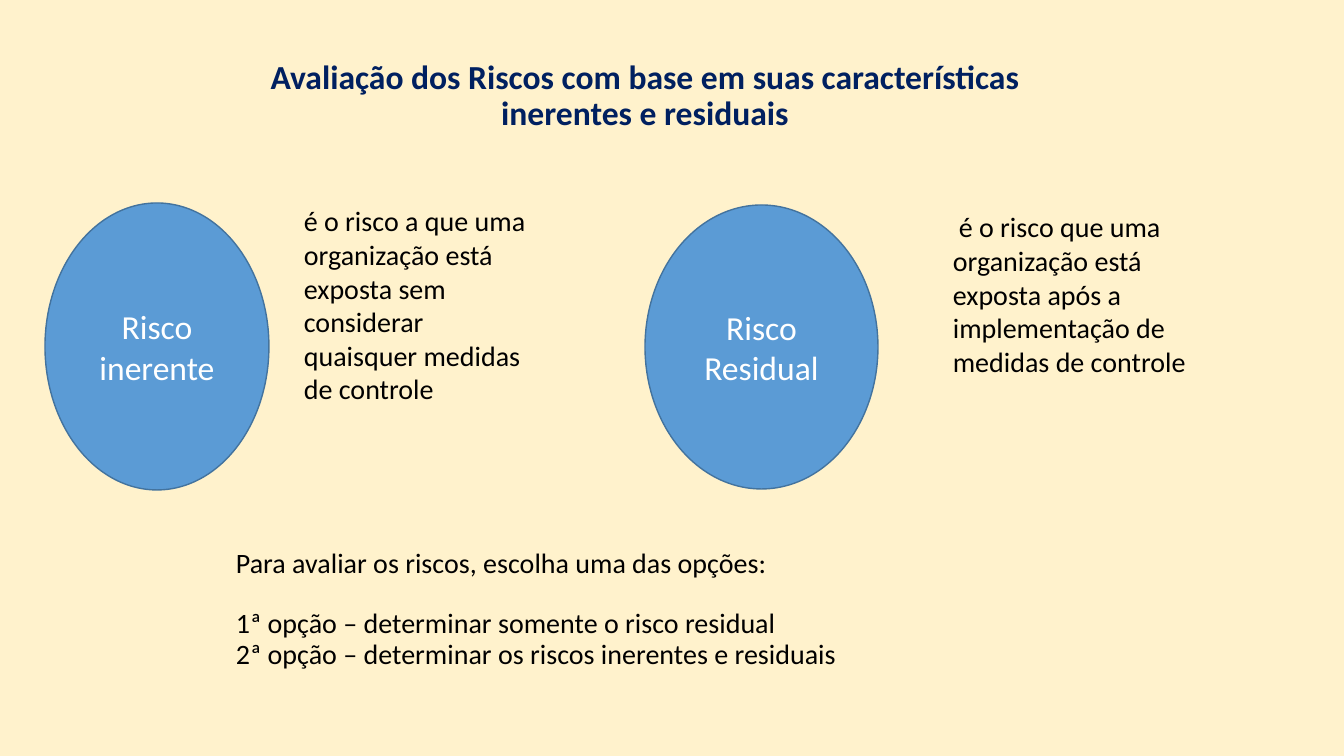
from pptx import Presentation
from pptx.dml.color import RGBColor
from pptx.enum.shapes import MSO_SHAPE as Shape
from pptx.enum.text import MSO_ANCHOR as Anchor, PP_ALIGN as Align
from pptx.util import Pt

PX = 914400 / 100.8
FONT = "Calibri"
COLORS = {
    "background": "FFF2CC",
    "title": "002060",
    "body": "000000",
    "ellipse": "5B9BD5",
    "outline": "43739E",
    "term": "FFFFFF",
}


def color(name):
    return RGBColor.from_string(COLORS[name])


def emu(*lengths):
    return [round(length * PX) for length in lengths]


def add_run(paragraph, text, size, color_name, bold=False):
    run = paragraph.add_run()
    run.text = text
    run.font.name = FONT
    run.font.size = Pt(size)
    run.font.bold = bold
    run.font.color.rgb = color(color_name)


def add_title(slide, box, lines):
    title = slide.shapes.title
    title.left, title.top, title.width, title.height = emu(*box)
    frame = title.text_frame
    frame.word_wrap = True
    frame.vertical_anchor = Anchor.BOTTOM
    paragraph = frame.paragraphs[0]
    paragraph.alignment = Align.CENTER
    paragraph.line_spacing = 0.9
    for index, line in enumerate(lines):
        if index:
            paragraph.add_line_break()
        add_run(paragraph, line, 24, "title", bold=True)


def add_risk(slide, box, term, definition, definition_box, first_indent=0):
    left, top, width, height = box
    ellipse = slide.shapes.add_shape(Shape.OVAL, *emu(left, top, width, height))
    ellipse.shadow.inherit = False
    ellipse.fill.solid()
    ellipse.fill.fore_color.rgb = color("ellipse")
    ellipse.line.color.rgb = color("outline")
    ellipse.line.width = Pt(1)
    term_frame = ellipse.text_frame
    term_frame.word_wrap = True
    term_frame.vertical_anchor = Anchor.MIDDLE
    term_frame.paragraphs[0].alignment = Align.CENTER
    add_run(term_frame.paragraphs[0], term, 24, "term")

    dx, dy, text_width, text_height = definition_box
    text = slide.shapes.add_textbox(*emu(left + dx, top + dy, text_width, text_height))
    text.text_frame.word_wrap = True
    paragraph = text.text_frame.paragraphs[0]
    if first_indent:
        paragraph._p.get_or_add_pPr().set("indent", str(round(first_indent * PX)))
    add_run(paragraph, definition, 20, "body")


def add_options(slide, box, lines):
    frame = slide.shapes.add_textbox(*emu(*box)).text_frame
    frame.word_wrap = True
    for index, (line, space_before) in enumerate(lines):
        paragraph = frame.add_paragraph() if index else frame.paragraphs[0]
        paragraph.line_spacing = 0.7
        paragraph.space_before = Pt(space_before)
        add_run(paragraph, line, 20, "body")


def main():
    deck = Presentation()
    deck.slide_width, deck.slide_height = emu(1344, 756)
    slide = deck.slides.add_slide(deck.slide_layouts[5])
    slide.background.fill.solid()
    slide.background.fill.fore_color.rgb = color("background")

    add_title(slide, (44, 43, 1202, 95), [
        "Avaliação dos Riscos com base em suas características",
        "inerentes e residuais",
    ])
    add_risk(
        slide, (45, 203, 224, 287), "Risco inerente",
        "é o risco a que uma organização está exposta sem considerar "
        "quaisquer medidas de controle",
        (249, -4, 254, 214),
    )
    add_risk(
        slide, (645, 205, 233, 284), "Risco Residual",
        "é o risco que uma organização está exposta após a "
        "implementação de medidas de controle",
        (298, 0, 279, 179), first_indent=6,
    )
    add_options(slide, (226, 550, 765, 116), [
        ("Para avaliar os riscos, escolha uma das opções:", 0),
        ("1ª opção – determinar somente o risco residual", 26),
        ("2ª opção – determinar os riscos inerentes e residuais", 5),
    ])
    deck.save("out.pptx")


if __name__ == "__main__":
    main()
